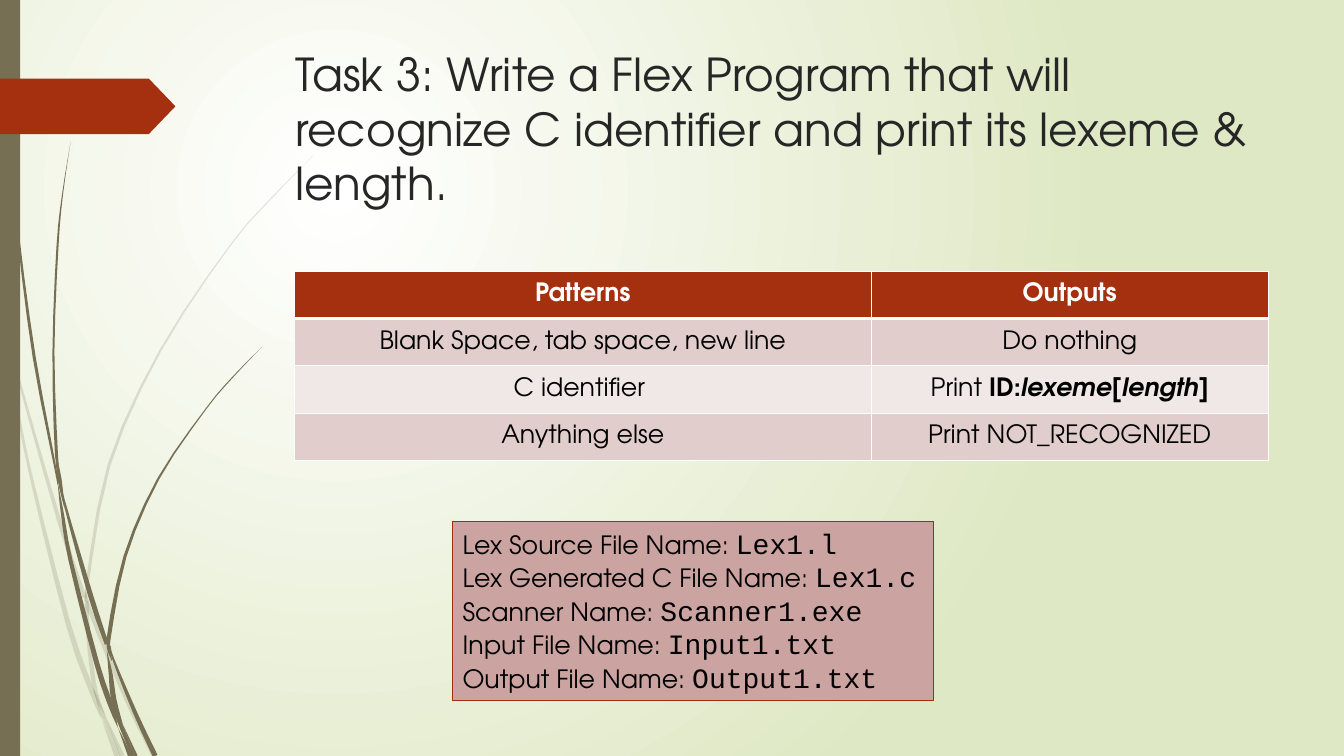
from math import hypot

from lxml.etree import SubElement
from pptx import Presentation
from pptx.dml.color import RGBColor
from pptx.enum.shapes import MSO_SHAPE as Preset
from pptx.enum.text import MSO_ANCHOR as Anchor, PP_ALIGN as Align
from pptx.oxml.ns import qn
from pptx.util import Inches, Pt

WHITE, BLACK = RGBColor(0xFF, 0xFF, 0xFF), RGBColor(0x00, 0x00, 0x00)
INK = RGBColor(0x26, 0x26, 0x26)
OLIVE, PALE_GREEN = RGBColor(0x76, 0x6F, 0x54), RGBColor(0xDF, 0xE8, 0xC4)
RUST, RUST_LINE = RGBColor(0xA5, 0x30, 0x10), RGBColor(0x9E, 0x2E, 0x0F)
ROSE = RGBColor(0xCB, 0xA3, 0xA0)
BAND_DARK, BAND_LIGHT = RGBColor(0xE1, 0xCD, 0xCC), RGBColor(0xF0, 0xE8, 0xE7)
SANS, MONO = "TeX Gyre Adventor", "Courier New"
COLUMNS, ROWS = 13.33, 7.5
STEPS = 3

PALE_BLADES = [
    [(0, 2.9, .03), (.09, 3.33, .02), (.11, 3.5, 0)],
    [(.14, 3.45, 0), (.17, 3.7, .02), (.6, 5.21, .04), (.84, 5.93, .04)],
    [(.88, 5.96, 0), (.9, 6.08, .04), (1.25, 6.93, .04), (1.53, 7.5, .05)],
    [(1.05, 7.11, 0), (1.21, 7.5, .05)],
    [(.11, 3.5, 0), (.16, 3.95, .02), (.3, 4.69, .03), (.68, 6.2, .05), (.92, 6.88, .05),
     (1.01, 7.14, 0)],
    [(.84, 5.99, 0), (.86, 6.1, .04), (.89, 6.46, .04), (.95, 6.87, .04), (1.05, 7.11, 0)],
    [(3.12, 1.53, 0), (2.68, 1.98, .01), (2.28, 2.44, .01), (1.59, 3.48, .02),
     (1.08, 4.62, .03), (.86, 5.84, .03), (.88, 5.96, 0)],
    [(1.01, 7.14, 0), (1.16, 7.5, .05)],
    [(.85, 5.86, 0), (.86, 5.98, .04), (.88, 6.1, 0)],
    [(.93, 6.83, 0), (1.02, 7.09, .04), (1.19, 7.5, 0)],
]
DARK_BLADES = [
    [(.03, 0, .01), (.07, 1.1, .01), (.18, 2.33, .02), (.34, 3.55, .03), (.55, 4.65, .02),
     (.57, 4.81, 0)],
    [(.6, 4.72, 0), (.63, 4.95, .02), (.9, 5.91, .05), (1.06, 6.39, .04)],
    [(1.1, 6.41, 0), (1.12, 6.53, .02), (1.34, 7.07, .04), (1.54, 7.5, .05)],
    [(.57, 4.77, 0), (.62, 5.1, .03), (.7, 5.56, .04), (.96, 6.58, .05), (1.1, 7, .05),
     (1.17, 7.22, 0)],
    [(.7, 1.41, 0), (.62, 1.93, .01), (.57, 2.45, .02), (.53, 3.49, .02), (.56, 4.51, .03),
     (.6, 4.72, 0)],
    [(1.22, 7.19, 0), (1.35, 7.5, .03)],
    [(.55, 4.49, 0), (.59, 4.75, .04), (.64, 5.05, 0)],
    [(2.6, 3.44, 0), (2.31, 3.74, .01), (2.04, 4.06, .01), (1.57, 4.75, .02),
     (1.24, 5.52, .03), (1.08, 6.32, .04), (1.1, 6.41, 0)],
    [(1.17, 7.22, 0), (1.29, 7.5, .04)],
    [(1.06, 6.45, 0), (1.1, 6.7, .04), (1.13, 6.94, .05), (1.22, 7.19, 0)],
    [(1.06, 6.31, 0), (1.08, 6.43, .04), (1.11, 6.56, 0)],
    [(1.1, 6.91, 0), (1.17, 7.12, .04), (1.32, 7.5, .03)],
]
TABLE_ROWS = [
    [["Patterns"], ["Outputs"]],
    [["Blank Space, tab space, new line"], ["Do nothing"]],
    [["C identifier "], ["Print ", ("ID:", {"bold": True}),
                         ("lexeme[length]", {"bold": True, "italic": True})]],
    [["Anything else"], ["Print NOT_RECOGNIZED"]],
]
FILE_NAMES = {"Lex Source File Name: ": "Lex1.l", "Lex Generated C File Name: ": "Lex1.c",
              "Scanner Name: ": "Scanner1.exe", "Input File Name: ": "Input1.txt",
              "Output File Name: ": "Output1.txt"}

def inches(*values):
    """Convert grid units to lengths."""
    return [Inches(value) for value in values]

def add_text(paragraph, text, size=18, font=SANS, color=BLACK, bold=False, italic=False):
    """Append a formatted run to a paragraph."""
    run = paragraph.add_run()
    run.text = text
    run.font.size, run.font.name = Pt(size), font
    run.font.bold, run.font.italic = bold, italic
    run.font.color.rgb = color

def style_shape(shape, fill, line=None, alpha=100):
    """Give a shape a flat fill and an optional thin outline."""
    shape.shadow.inherit = False
    shape.fill.solid()
    shape.fill.fore_color.rgb = fill
    if alpha < 100:
        color = shape._element.spPr.find(f"{qn('a:solidFill')}/{qn('a:srgbClr')}")
        SubElement(color, qn("a:alpha"), val=str(alpha * 1000))
    if line is None:
        shape.line.fill.background()
    else:
        shape.line.color.rgb, shape.line.width = line, Pt(.75)

def paint_background(slide):
    """Fill the background with a glow centred in the upper left."""
    fill = slide.background.fill
    fill.gradient()
    for stop, color, position in zip(fill.gradient_stops, (WHITE, PALE_GREEN), (0, 1)):
        stop.color.rgb, stop.position = color, position
    linear = next(slide.element.iter(qn("a:lin")))
    gradient = linear.getparent()
    gradient.remove(linear)
    glow = SubElement(gradient, qn("a:path"), path="circle")
    SubElement(glow, qn("a:fillToRect"), l="50000", t="50000", r="100000", b="100000")

def smooth(points):
    """Return points along a Catmull-Rom curve through the given ones."""
    padded = [points[0], *points, points[-1]]
    quads = zip(padded, padded[1:], padded[2:], padded[3:])
    return [[b + t * (c - a) / 2 + t * t * (a - 2.5 * b + 2 * c - d / 2)
             + t ** 3 * (1.5 * (b - c) + (d - a) / 2) for a, b, c, d in zip(*quad)]
            for quad in quads for t in (step / STEPS for step in range(STEPS))] + [points[-1]]

def add_blade(slide, box, points, alpha):
    """Draw one tapering piece of a blade of grass."""
    curve = smooth(points) if len(points) > 2 else points
    left, right = [], []
    for before, (x, y, width), after in zip([curve[0], *curve], curve, [*curve[1:], curve[-1]]):
        dx, dy = after[0] - before[0], after[1] - before[1]
        half = width / 2 / hypot(dx, dy)
        for side, sign in ((left, half), (right, -half)):
            side.append(inches(box[0] + x + sign * dy, box[1] + y - sign * dx))
    outline = left + right[::-1]
    builder = slide.shapes.build_freeform(*outline[0])
    builder.add_line_segments(outline[1:], close=True)
    style_shape(builder.convert_to_shape(), OLIVE, alpha=alpha)

def add_decoration(slide, box):
    """Draw the grass, the side bar and the arrow tag."""
    for blades, alpha in ((PALE_BLADES, 20), (DARK_BLADES, 100)):
        for points in blades:
            add_blade(slide, box, points, alpha)
    left, top, _, height = box
    bar = slide.shapes.add_shape(Preset.RECTANGLE, *inches(left, top, .2, height))
    tag = slide.shapes.add_shape(Preset.PENTAGON, *inches(left, top + .78, 1.74, .55))
    tag.adjustments[0] = .48
    style_shape(bar, OLIVE)
    style_shape(tag, RUST)

def add_title(slide, box, text):
    """Place the slide's heading."""
    frame = slide.shapes.add_textbox(*inches(*box)).text_frame
    frame.word_wrap = True
    add_text(frame.paragraphs[0], text, size=32.4, color=INK)

def add_borders(cell, bottom):
    """Draw white borders around a cell."""
    properties = cell._tc.get_or_add_tcPr()
    for index, (side, width) in enumerate((("L", 1), ("R", 1), ("T", 1), ("B", bottom))):
        line = SubElement(properties, qn(f"a:ln{side}"), w=str(Pt(width)))
        SubElement(SubElement(line, qn("a:solidFill")), qn("a:srgbClr"), val=str(WHITE))
        properties.insert(index, line)

def add_pattern_table(slide, box, widths):
    """Place the table of patterns and their outputs."""
    table = slide.shapes.add_table(len(TABLE_ROWS), len(widths), *inches(*box)).table
    for column, width in zip(table.columns, widths):
        column.width = Inches(width)
    for row, contents in enumerate(TABLE_ROWS):
        header = row == 0
        for column, runs in enumerate(contents):
            cell = table.cell(row, column)
            cell.vertical_anchor = Anchor.MIDDLE
            cell.fill.solid()
            cell.fill.fore_color.rgb = RUST if header else (BAND_LIGHT, BAND_DARK)[row % 2]
            add_borders(cell, bottom=3 if header else 1)
            paragraph = cell.text_frame.paragraphs[0]
            paragraph.alignment = Align.CENTER
            base = {"bold": header, "color": WHITE if header else BLACK}
            for run in runs:
                text, extra = (run, {}) if isinstance(run, str) else run
                add_text(paragraph, text, **{**base, **extra})

def add_file_names(slide, box):
    """Place the panel that lists the file names."""
    panel = slide.shapes.add_shape(Preset.RECTANGLE, *inches(*box))
    style_shape(panel, ROSE, RUST_LINE)
    frame = panel.text_frame
    frame.word_wrap, frame.vertical_anchor = True, Anchor.TOP
    for index, (label, name) in enumerate(FILE_NAMES.items()):
        paragraph = frame.add_paragraph() if index else frame.paragraphs[0]
        paragraph.alignment = Align.LEFT
        add_text(paragraph, label)
        add_text(paragraph, name, size=20, font=MONO)

def main():
    """Build and save the presentation."""
    presentation = Presentation()
    presentation.slide_width, presentation.slide_height = inches(COLUMNS, ROWS)
    slide = presentation.slides.add_slide(presentation.slide_layouts[6])
    paint_background(slide)
    add_decoration(slide, (0, 0, COLUMNS, ROWS))
    add_title(slide, (2.83, .41, 9.75, 1.68), "Task 3: Write a Flex Program that will "
              "recognize C identifier and print its lexeme & length.")
    add_file_names(slide, (4.49, 5.17, 4.77, 1.78))
    add_pattern_table(slide, (2.92, 2.69, 9.66, 1.88), widths=(5.72, 3.94))
    presentation.save("out.pptx")

if __name__ == "__main__":
    main()
